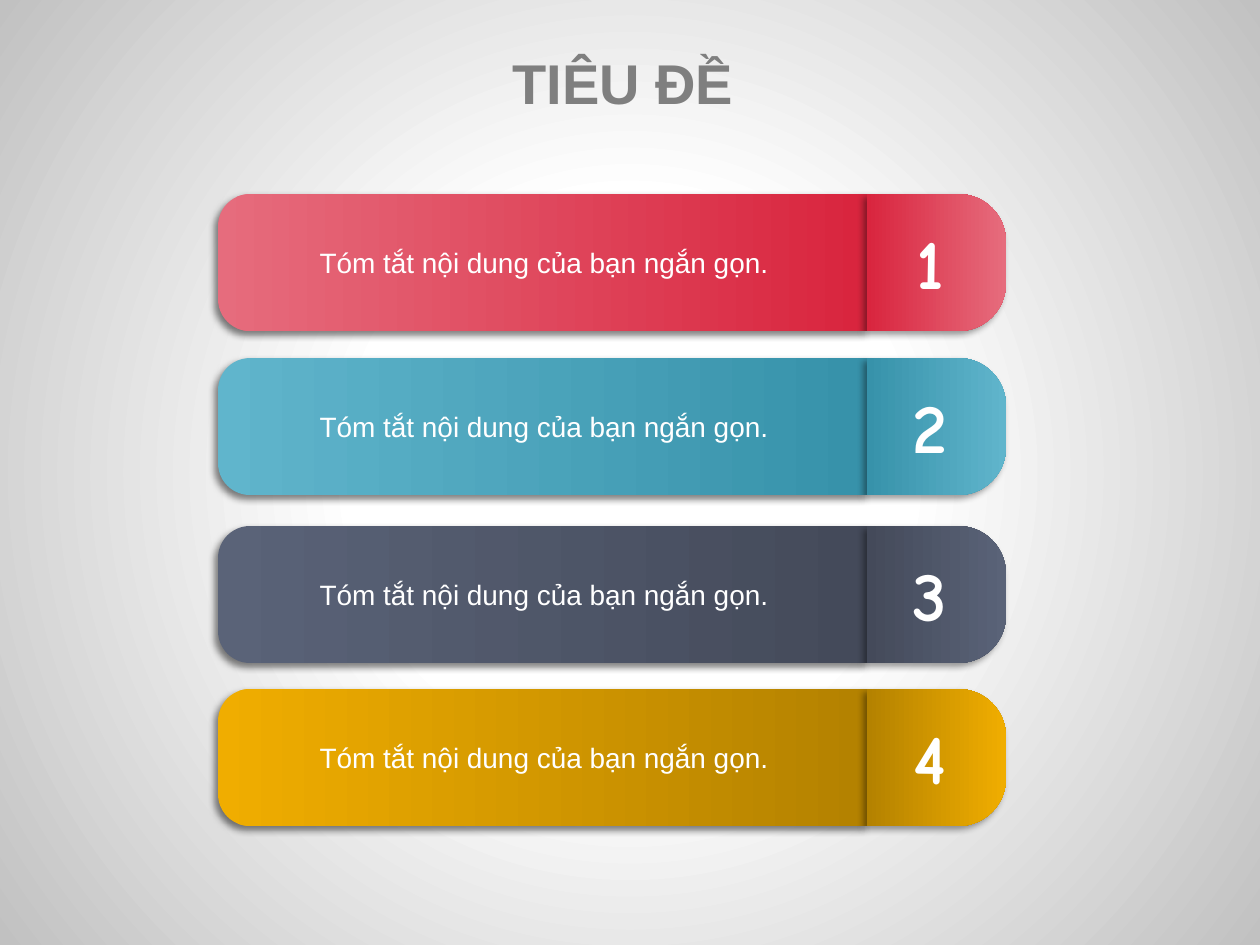
"""Build a title slide with four numbered summary bars."""
from pptx import Presentation
from pptx.dml.color import RGBColor
from pptx.enum.shapes import MSO_SHAPE
from pptx.enum.text import MSO_ANCHOR, MSO_AUTO_SIZE, PP_ALIGN
from pptx.oxml import parse_xml
from pptx.oxml.ns import nsdecls
from pptx.util import Emu, Pt

UNIT = 914400 / 126
HUES = {
    "white": "FFFFFF", "edge": "C1C1C1", "title": "7F7F7F", "shade": "000000",
    "red": "E66C7D", "red dark": "D9253E",
    "blue": "60B5CC", "blue dark": "3792AA",
    "slate": "5A6378", "slate dark": "444A5A",
    "gold": "F0AD00", "gold dark": "B48200",
}
ROWS = [(194, "red"), (358, "blue"), (526, "slate"), (689, "gold")]
NOTE = "Tóm tắt nội dung của bạn ngắn gọn."
LEFT, SPLIT, RIGHT, HIGH = 218, 867, 1006, 137


def write(text, area, size, face, hue, bold, wrap):
    box = slide.shapes.add_textbox(*[Emu(round(n * UNIT)) for n in area])
    frame = box.text_frame
    frame.text = text
    frame.word_wrap = wrap
    frame.auto_size = MSO_AUTO_SIZE.SHAPE_TO_FIT_TEXT
    frame.vertical_anchor = MSO_ANCHOR.TOP if wrap else MSO_ANCHOR.MIDDLE
    line = frame.paragraphs[0]
    line.alignment = PP_ALIGN.CENTER
    font = line.runs[0].font
    font.size, font.name, font.bold = Pt(size), face, bold
    font.color.rgb = RGBColor.from_string(HUES[hue])


def grade(item, node, stops, way):
    item.fill.gradient()
    old = node.xpath(".//a:gradFill")[0]
    marks = "".join(
        f'<a:gs pos="{spot * 1000}"><a:srgbClr val="{HUES[hue]}"/></a:gs>'
        for spot, hue in stops)
    new = parse_xml(f'<a:gradFill {nsdecls("a")} rotWithShape="1">'
                    f"<a:gsLst>{marks}</a:gsLst>{way}</a:gradFill>")
    old.getparent().replace(old, new)


deck = Presentation()
deck.slide_width, deck.slide_height = Emu(round(1260 * UNIT)), Emu(round(945 * UNIT))
slide = deck.slides.add_slide(deck.slide_layouts[6])
grade(slide.background, slide.element, [(35, "white"), (100, "edge")],
      '<a:path path="circle">'
      '<a:fillToRect l="50000" t="50000" r="50000" b="50000"/></a:path>')
write("TIÊU ĐỀ", (104, 42, 1038, 81), 32, "Arial", "title", True, False)

for top, light in ROWS:
    dark = f"{light} dark"
    body = (LEFT, SPLIT, 270, 0.233, [(0, light), (99, dark)], 50)
    tab = (SPLIT, RIGHT, 90, 0.347, [(0, dark), (100, light)], 40)
    for start, end, turn, curve, stops, alpha in (body, tab):
        wide = end - start
        shift = (wide - HIGH) / 2
        area = (start + shift, top - shift, HIGH, wide)
        part = slide.shapes.add_shape(
            MSO_SHAPE.ROUND_2_SAME_RECTANGLE, *[Emu(round(n * UNIT)) for n in area])
        part.rotation = turn
        part.adjustments[0], part.adjustments[1] = curve, 0
        part.line.fill.background()
        angle = 360 - turn
        grade(part, part.element, stops, f'<a:lin ang="{angle * 60000}" scaled="0"/>')
        part.shadow.inherit = False
        part.element.xpath(".//a:effectLst")[0].append(parse_xml(
            f'<a:outerShdw {nsdecls("a")} blurRad="{Pt(4)}" dist="{Pt(3)}" '
            f'dir="{135 * 60000}" algn="tr" rotWithShape="0">'
            f'<a:srgbClr val="{HUES["shade"]}"><a:alpha val="{alpha * 1000}"/>'
            "</a:srgbClr></a:outerShdw>"))
    part.element.xpath(".//a:xfrm")[0].set("flipH", "1")

for rank, (top, light) in enumerate(ROWS, 1):
    write(str(rank), (896, top + 19, 68, 97), 40, "Comic Neue", "white", True, False)
for top, light in ROWS:
    write(NOTE, (284, top + 45, 520, 47), 16, "Arial", "white", False, True)

deck.save("out.pptx")
